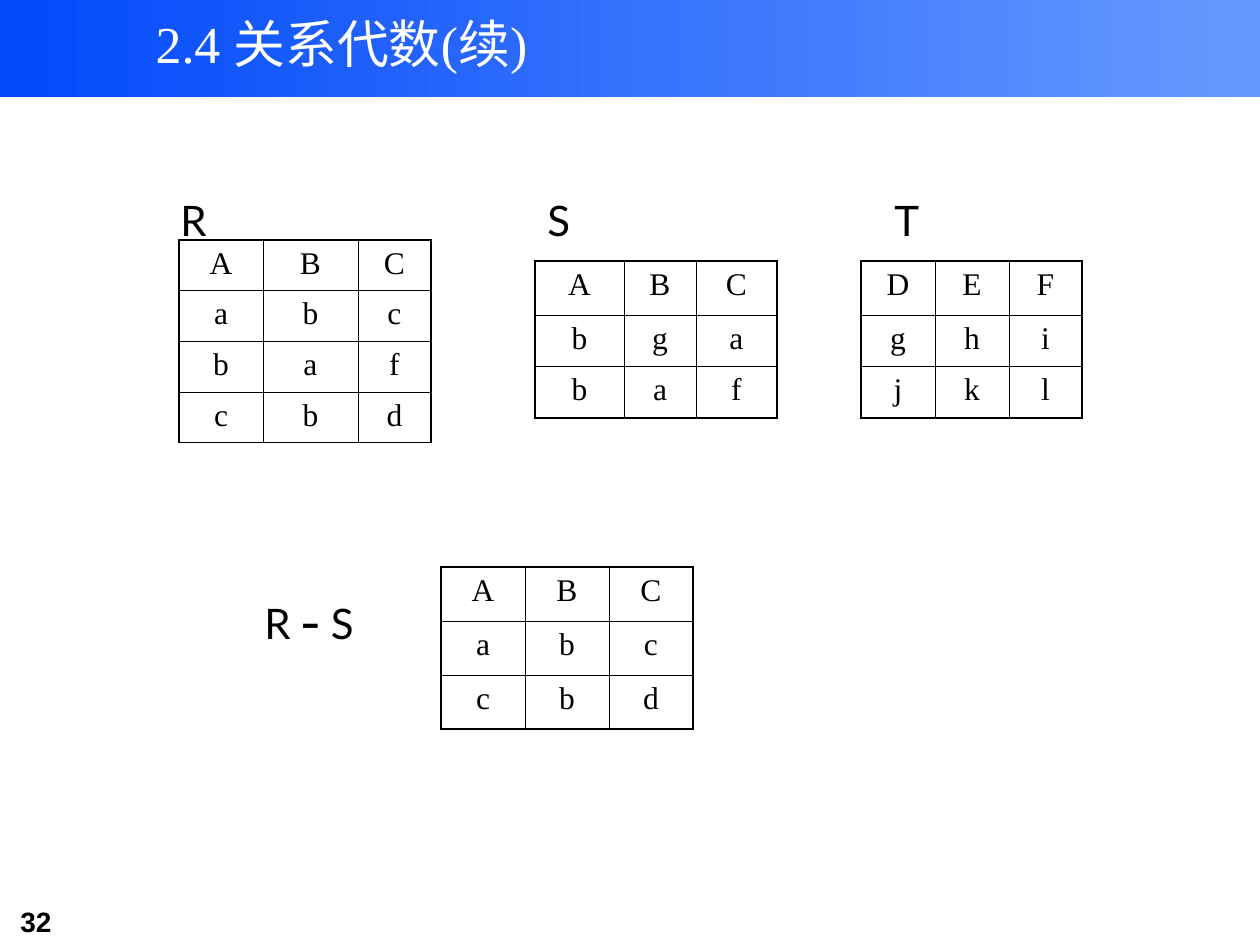
from lxml.etree import SubElement
from pptx import Presentation
from pptx.dml.color import RGBColor as Rgb
from pptx.enum.shapes import MSO_SHAPE as Shape
from pptx.enum.text import MSO_ANCHOR as Anchor, PP_ALIGN as Align
from pptx.oxml.ns import qn
from pptx.util import Emu, Pt

PX = 914400 / 126
COLORS = {"banner_left": "0249FA", "banner_right": "6699FF",
          "ink": "000000", "title": "FFFFFF"}
SERIF, SANS, LABEL = "Times New Roman", "Arial", "Lato"
OUTER, INNER = 1.08, 0.45


def px(length):
    return Emu(round(length * PX))


def rgb(name):
    return Rgb.from_string(COLORS[name])


def add_span(para, text, font=SERIF, size=18, color="ink", bold=False):
    span = para.add_run()
    span.text = text
    span.font.name = font
    span.font.size = Pt(size)
    span.font.bold = bold
    span.font.color.rgb = rgb(color)


def add_text(page, text, left, top, width, height, align=Align.LEFT,
             anchor=Anchor.TOP, wrap=True, **style):
    box = page.shapes.add_textbox(px(left), px(top), px(width), px(height))
    frame = box.text_frame
    frame.word_wrap = wrap
    frame.vertical_anchor = anchor
    para = frame.paragraphs[0]
    para.alignment = align
    if text:
        add_span(para, text, **style)
    return para


def add_banner(page, width, height):
    banner = page.shapes.add_shape(Shape.RECTANGLE, 0, 0, px(width), px(height))
    banner.shadow.inherit = False
    banner.line.fill.background()
    banner.fill.gradient()
    banner.fill.gradient_angle = 0
    stops = banner.fill.gradient_stops
    for stop, name in zip(stops, ("banner_left", "banner_right")):
        stop.color.rgb = rgb(name)


def set_border(cell, side, width):
    line = SubElement(cell._tc.get_or_add_tcPr(), qn(f"a:ln{side}"), w=str(Pt(width)))
    fill = SubElement(line, qn("a:solidFill"))
    SubElement(fill, qn("a:srgbClr"), val=COLORS["ink"])


def add_relation(page, left, top, widths, heights, rows):
    """Draw a relation: each string in rows holds one letter per column."""
    table = page.shapes.add_table(len(heights), len(widths), px(left), px(top),
                                  px(sum(widths)), px(sum(heights))).table
    table.first_row = table.horz_banding = False
    for column, width in zip(table.columns, widths):
        column.width = px(width)
    for row, height in zip(table.rows, heights):
        row.height = px(height)

    last_row, last_col = len(heights) - 1, len(widths) - 1
    for r, letters in enumerate(rows):
        for c, letter in enumerate(letters):
            cell = table.cell(r, c)
            para = cell.text_frame.paragraphs[0]
            para.alignment = Align.CENTER
            add_span(para, letter)
            # Thick frame outside, thin rules inside
            edges = {"L": c == 0, "R": c == last_col, "T": r == 0, "B": r == last_row}
            for side, is_outer in edges.items():
                set_border(cell, side, OUTER if is_outer else INNER)
            cell.fill.background()


def main():
    deck = Presentation()
    deck.slide_width, deck.slide_height = px(1260), px(945)
    page = deck.slides.add_slide(deck.slide_layouts[6])

    # Banner, page number and title
    add_banner(page, 1260, 97)
    add_text(page, "32", 8, 898, 154, 47, font=SANS, size=16, bold=True)
    add_text(page, "2.4 关系代数(续)", 116, 1, 451, 84, align=Align.CENTER,
             anchor=Anchor.MIDDLE, wrap=False, size=29.6, color="title")

    # Relations R, S, T and the difference
    add_relation(page, 179, 240, [84, 95, 73], [50, 50, 51, 50],
                 ["ABC", "abc", "baf", "cbd"])
    add_relation(page, 535, 261, [89, 72, 81], [54, 51, 52],
                 ["ABC", "bga", "baf"])
    add_relation(page, 861, 261, [74, 74, 73], [54, 51, 52],
                 ["DEF", "ghi", "jkl"])
    add_relation(page, 441, 567, [84] * 3, [54] * 3,
                 ["ABC", "abc", "cbd"])

    # Relation names
    for name, left, width in (("R", 168, 126), ("S", 535, 126), ("T", 882, 105)):
        add_text(page, name, left, 188, width, 63, font=LABEL, size=24)
    difference = add_text(page, "R ", 252, 577, 136, 81, font=LABEL, size=24)
    add_span(difference, "-", size=32)
    add_span(difference, " S", font=LABEL, size=24)

    deck.save("out.pptx")


if __name__ == "__main__":
    main()
